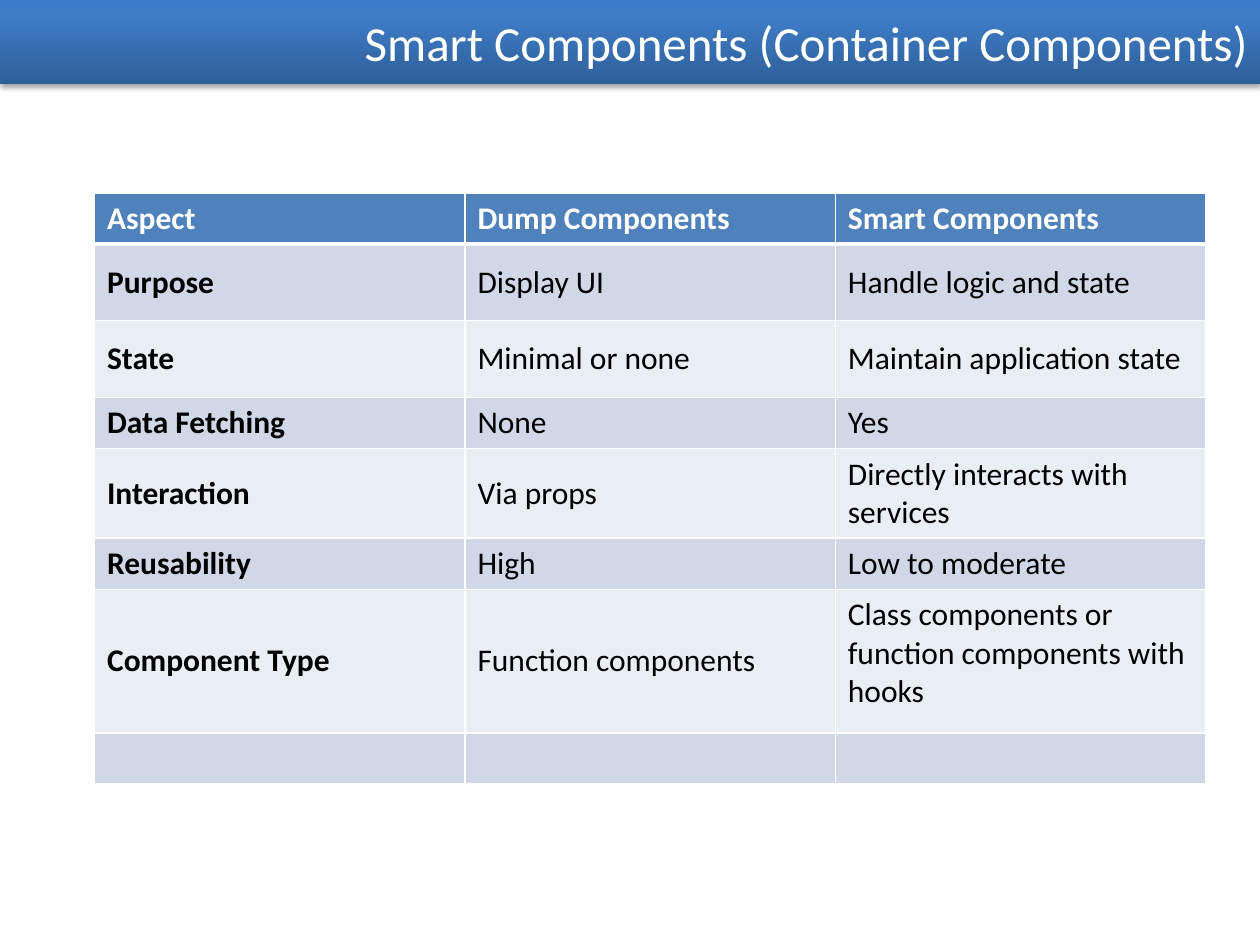
from lxml.etree import fromstring
from pptx import Presentation
from pptx.dml.color import RGBColor
from pptx.enum.text import MSO_ANCHOR, MSO_AUTO_SIZE, PP_ALIGN
from pptx.util import Inches, Pt

COLORS = {
    "white": "FFFFFF", "black": "000000", "header": "4F81BD",
    "odd": "D0D8E8", "even": "E9EDF4",
    "bar_bottom": "2F5F99", "bar_middle": "3D7CC7", "bar_top": "3A7CCB",
}
NS = 'xmlns:a="http://schemas.openxmlformats.org/drawingml/2006/main"'

ROWS = [
    ("Aspect", "Dump Components", "Smart Components"),
    ("Purpose", "Display UI", "Handle logic and state"),
    ("State", "Minimal or none", "Maintain application state"),
    ("Data Fetching", "None", "Yes"),
    ("Interaction", "Via props", "Directly interacts with services"),
    ("Reusability", "High", "Low to moderate"),
    ("Component Type", "Function components",
     "Class components or function components with hooks"),
    ("", "", ""),
]
HEIGHTS = [0.35, 0.61, 0.61, 0.35, 0.61, 0.35, 1.14, 0.35]


class SlideBuilder:
    font = "Calibri"

    def __init__(self, prs):
        self.s = prs.slides.add_slide(prs.slide_layouts[5])

    def add_run(self, p, text, size, color, bold=False):
        r = p.add_run()
        r.text = text
        r.font.name, r.font.size, r.font.bold = self.font, Pt(size), bold
        r.font.color.rgb = RGBColor.from_string(COLORS[color])

    def title_bar(self, text, width, height):
        sp = self.s.shapes.title
        sp.left, sp.top = Inches(0), Inches(0)
        sp.width, sp.height = Inches(width), Inches(height)
        # Gradient running upwards, then a soft shadow below the bar
        stops = "".join(
            f'<a:gs pos="{pos * 1000}"><a:srgbClr val="{COLORS[name]}"/></a:gs>'
            for pos, name in [(0, "bar_bottom"), (80, "bar_middle"), (100, "bar_top")])
        spPr = sp.element.spPr
        spPr.append(fromstring(
            f'<a:gradFill {NS} rotWithShape="1"><a:gsLst>{stops}</a:gsLst>'
            '<a:lin ang="16200000" scaled="0"/></a:gradFill>'))
        spPr.append(fromstring(
            f'<a:effectLst {NS}><a:outerShdw blurRad="{Pt(3.1)}" dist="{Pt(1.8)}" '
            f'dir="5400000" rotWithShape="0"><a:srgbClr val="{COLORS["black"]}">'
            '<a:alpha val="35000"/></a:srgbClr></a:outerShdw></a:effectLst>'))
        tf = sp.text_frame
        tf.auto_size = MSO_AUTO_SIZE.NONE
        tf.word_wrap = True
        tf.vertical_anchor = MSO_ANCHOR.MIDDLE
        p = tf.paragraphs[0]
        p.alignment = PP_ALIGN.RIGHT
        self.add_run(p, text, 28, "white")

    def cell_borders(self, cell, top, bottom):
        tcPr = cell._tc.get_or_add_tcPr()
        widths = [("lnL", 1), ("lnR", 1), ("lnT", top), ("lnB", bottom)]
        for i, (tag, width) in enumerate(widths):
            tcPr.insert(i, fromstring(
                f'<a:{tag} {NS} w="{Pt(width)}"><a:solidFill>'
                f'<a:srgbClr val="{COLORS["white"]}"/></a:solidFill></a:{tag}>'))

    def table(self, rows, heights, left, top, col_width):
        cols = len(rows[0])
        table = self.s.shapes.add_table(
            len(rows), cols, Inches(left), Inches(top),
            Inches(col_width * cols), Inches(sum(heights))).table
        for col in table.columns:
            col.width = Inches(col_width)
        for i, (texts, height) in enumerate(zip(rows, heights)):
            table.rows[i].height = Inches(height)
            fill = "header" if i == 0 else "odd" if i % 2 else "even"
            for j, text in enumerate(texts):
                cell = table.cell(i, j)
                cell.fill.solid()
                cell.fill.fore_color.rgb = RGBColor.from_string(COLORS[fill])
                self.cell_borders(cell, 3 if i == 1 else 1, 3 if i == 0 else 1)
                if text:
                    cell.vertical_anchor = MSO_ANCHOR.MIDDLE
                    self.add_run(cell.text_frame.paragraphs[0], text, 18,
                                 "black" if i else "white", i == 0 or j == 0)
        return table


def main():
    prs = Presentation()
    prs.slide_width, prs.slide_height = Inches(10), Inches(7.5)
    slide = SlideBuilder(prs)

    # Title bar
    slide.title_bar("Smart Components (Container Components)", 10, 0.67)

    # Comparison table; the longest text starts at the top of its cell
    table = slide.table(ROWS, HEIGHTS, 0.75, 1.53, 2.94)
    table.cell(6, 2).vertical_anchor = MSO_ANCHOR.TOP

    prs.save("out.pptx")


if __name__ == "__main__":
    main()
